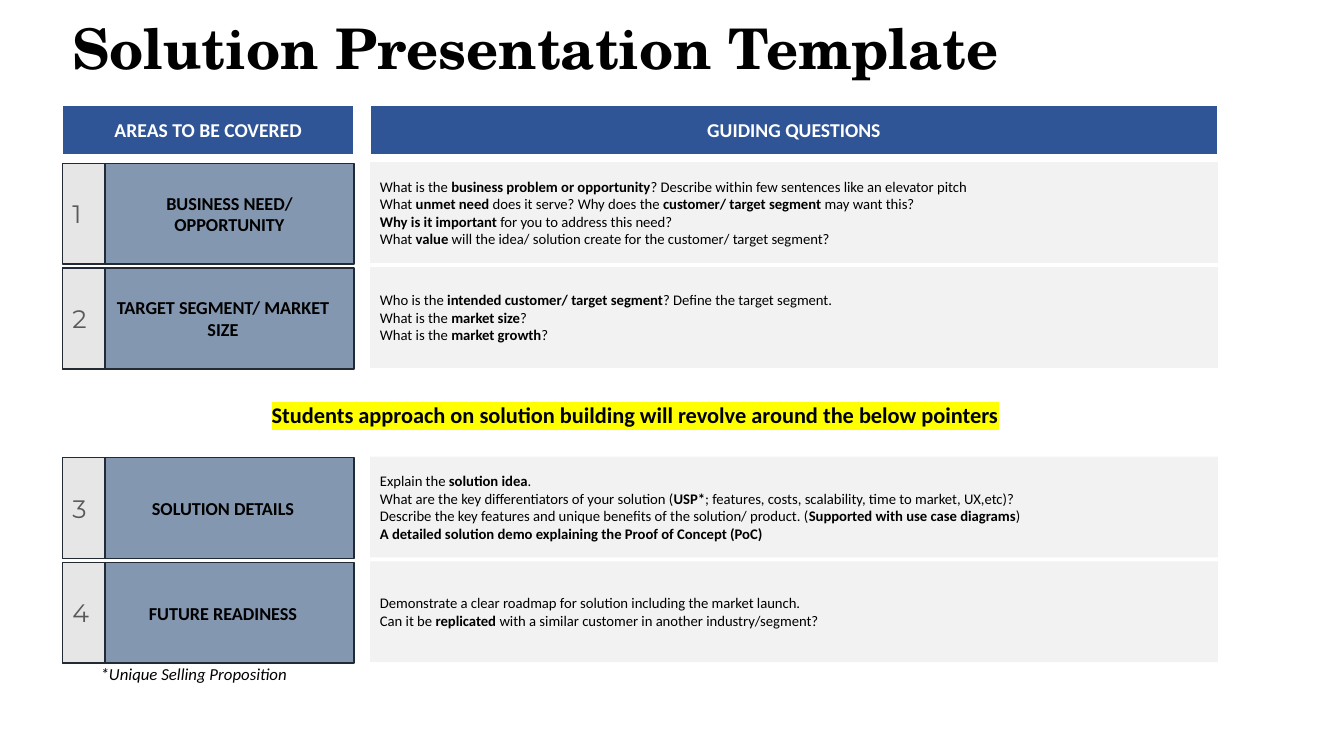
import pptx
import pptx.util
import pptx.dml.color
import pptx.enum.shapes
import pptx.enum.text
import pptx.oxml.ns
import lxml.etree

Inches, Pt = pptx.util.Inches, pptx.util.Pt
ALIGN, ANCHOR = pptx.enum.text.PP_ALIGN, pptx.enum.text.MSO_ANCHOR

COLORS = {
    "white": "FFFFFF", "black": "000000", "header": "2F5597",
    "area": "8497B0", "number": "E7E6E6", "digit": "595959",
    "outline": "222A35", "panel": "F2F2F2", "marker": "FFFF00",
}

LEFT, AREA_W = 0.62, 2.89
QUESTION_X, QUESTION_W = 3.67, 8.41
NUMBER_W, ROW_H, ROW_PITCH = 0.42, 1, 1.04

# Area name and its questions; bold parts stand between bars
NEED_ROWS = [
    ("BUSINESS NEED/ OPPORTUNITY", [
        "What is the |business problem or opportunity|? Describe within few sentences like an elevator pitch",
        "What |unmet need |does it serve? Why does the |customer/ target segment| may want this?",
        "|Why is it important| for you to address this need?",
        "What |value| will the idea/ solution create for the customer/ target segment?"]),
    ("TARGET SEGMENT/ MARKET SIZE", [
        "Who is the |intended customer/ target segment|? Define the target segment.",
        "What is the |market size|?",
        "What is the |market growth|?"]),
]
SOLUTION_ROWS = [
    ("SOLUTION DETAILS", [
        "Explain the |solution idea|.",
        "What are the key differentiators of your solution (|USP*|; features, costs, scalability, "
        "time to market, UX,etc)?",
        "Describe the key features and unique benefits of the solution/ product. "
        "(|Supported with use case diagrams|)",
        "|A detailed solution demo explaining the Proof of Concept (PoC)|"]),
    ("FUTURE READINESS", [
        "Demonstrate a clear roadmap for solution including the market launch.",
        "Can it be |replicated |with a similar customer in another industry/segment?"]),
]


def rgb(name):
    return pptx.dml.color.RGBColor.from_string(COLORS[name])


def style(r, size, color="black", font="Calibri", bold=False, italic=False):
    r.font.size, r.font.name = Pt(size), font
    r.font.bold, r.font.italic = bold, italic
    r.font.color.rgb = rgb(color)


def add_rect(s, x, y, w, h, fill, line=None):
    sp = s.shapes.add_shape(pptx.enum.shapes.MSO_SHAPE.RECTANGLE,
                            Inches(x), Inches(y), Inches(w), Inches(h))
    sp.shadow.inherit = False
    sp.fill.solid()
    sp.fill.fore_color.rgb = rgb(fill)
    if line:
        sp.line.color.rgb = rgb(line)
        sp.line.width = Pt(1)
    else:
        sp.line.fill.background()
    sp.text_frame.word_wrap = True
    sp.text_frame.vertical_anchor = ANCHOR.MIDDLE
    return sp


def add_text(s, x, y, w, h):
    tf = s.shapes.add_textbox(Inches(x), Inches(y), Inches(w), Inches(h)).text_frame
    tf.word_wrap = True
    return tf


def write(tf, text, size, align=ALIGN.LEFT, **look):
    tf.text = text
    p = tf.paragraphs[0]
    p.alignment = align
    style(p.runs[0], size, **look)
    return p


def add_title(s, x, y, w, h):
    tf = add_text(s, x, y, w, h)
    tf.vertical_anchor = ANCHOR.TOP
    p = write(tf, "Solution Presentation Template", 40,
              font="TeX Gyre Schola", bold=True)
    p.line_spacing = 0.9


def add_headers(s, y, h):
    for x, w, text in [(LEFT, AREA_W, "AREAS TO BE COVERED"),
                       (QUESTION_X, QUESTION_W, "GUIDING QUESTIONS")]:
        sp = add_rect(s, x, y, w, h, "header", "white")
        write(sp.text_frame, text, 14, ALIGN.CENTER, color="white", bold=True)


def add_questions(s, x, y, w, h, questions):
    tf = add_rect(s, x, y, w, h, "panel").text_frame
    for i, question in enumerate(questions):
        p = tf.paragraphs[0] if i == 0 else tf.add_paragraph()
        p.alignment = ALIGN.LEFT
        for j, part in enumerate(question.split("|")):
            if part:
                r = p.add_run()
                r.text = part
                style(r, 10.5, bold=j % 2 == 1)


def add_row(s, y, number, area, questions):
    # The first area starts beside its number, the others run behind it
    offset = NUMBER_W if number == 1 else 0
    sp = add_rect(s, LEFT + offset, y + 0.01, AREA_W - offset, ROW_H, "area", "outline")
    if not offset:
        sp.text_frame.margin_left = Inches(0.39)
    write(sp.text_frame, area, 13, ALIGN.CENTER, bold=True)

    sp = add_rect(s, LEFT, y + 0.01, NUMBER_W, ROW_H, "number", "outline")
    write(sp.text_frame, str(number), 18, color="digit", font="Montserrat")

    add_questions(s, QUESTION_X, y, QUESTION_W, ROW_H, questions)


def add_rows(s, y, first, rows):
    for i, (area, questions) in enumerate(rows):
        add_row(s, y + i * ROW_PITCH, first + i, area, questions)


def add_banner(s, x, y, w, h):
    p = write(add_text(s, x, y, w, h),
              "Students approach on solution building will revolve around the below pointers",
              16, ALIGN.CENTER, bold=True)
    # Highlight follows the text fill
    qn = pptx.oxml.ns.qn
    highlight = lxml.etree.Element(qn("a:highlight"))
    lxml.etree.SubElement(highlight, qn("a:srgbClr")).set("val", COLORS["marker"])
    p.runs[0].font._element.find(qn("a:solidFill")).addnext(highlight)


def add_footnote(s, x, y, w, h):
    write(add_text(s, x, y, w, h), "*Unique Selling Proposition", 12, italic=True)


def main():
    prs = pptx.Presentation()
    prs.slide_width, prs.slide_height = Inches(13.33), Inches(7.5)
    s = prs.slides.add_slide(prs.slide_layouts[6])
    add_title(s, LEFT, 0.16, 11.5, 1.45)
    add_headers(s, 1.04, 0.5)
    add_rows(s, 1.61, 1, NEED_ROWS)
    add_banner(s, 0.71, 3.93, 11.18, 0.37)
    add_rows(s, 4.53, 3, SOLUTION_ROWS)
    add_footnote(s, 0.9, 6.54, 4.92, 0.3)
    prs.save("out.pptx")


if __name__ == "__main__":
    main()
